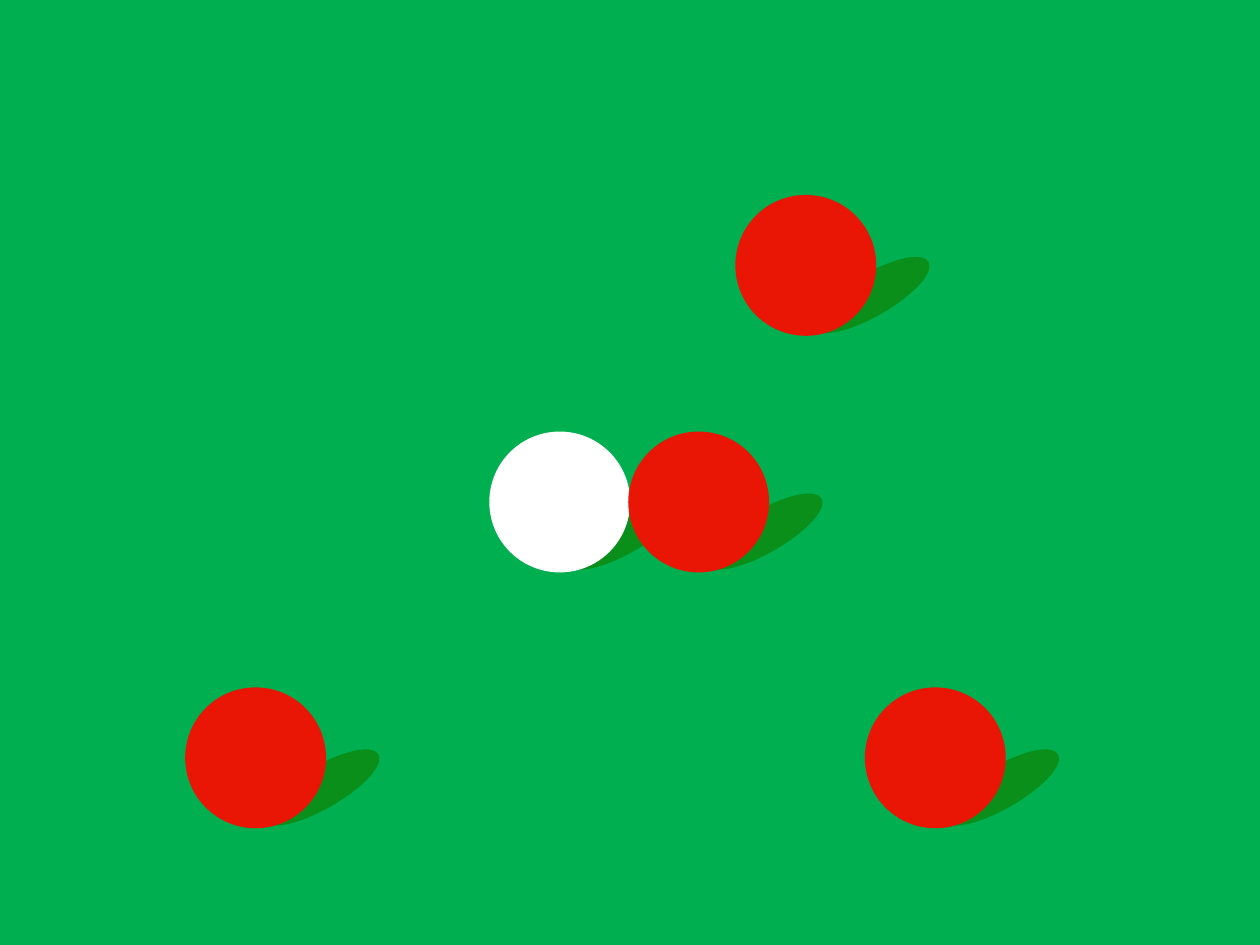
"""Build a slide of billiard balls with cast shadows on green cloth."""
from pptx import Presentation
from pptx.dml.color import RGBColor
from pptx.enum.shapes import MSO_SHAPE
from pptx.util import Pt

OVAL = MSO_SHAPE.OVAL
BLANK_LAYOUT = 6
COLORS = {"cloth": "00B050", "shade": "0A901A", "white": "FFFFFF", "red": "E91505"}
BALL_SIZE = 78.5
SHADE_OFFSET = (40, 45)
SHADE_SIZE = (73.4, 22.3)
SHADE_ANGLE = 330


class Table:
    """Hold the slide and the style of the balls on it."""

    outline = 2

    def __init__(self, slide):
        self.slide = slide

    def color(self, fill, name):
        fill.solid()
        fill.fore_color.rgb = RGBColor.from_string(COLORS[name])

    def cloth(self):
        self.color(self.slide.background.fill, "cloth")

    def oval(self, group, left, top, width, height, color, rotation=0):
        oval = group.shapes.add_shape(OVAL, Pt(left), Pt(top), Pt(width), Pt(height))
        for name, value in {"rotation": rotation}.items():
            setattr(oval, name, value)
        oval.shadow.inherit = False
        oval.line.width = Pt(self.outline)
        for fill, name in ((oval.fill, color), (oval.line.fill, color)):
            self.color(fill, name)

    def ball(self, left, top, color):
        group = self.slide.shapes.add_group_shape()
        dx, dy = SHADE_OFFSET
        self.oval(group, left + dx, top + dy, *SHADE_SIZE, "shade", SHADE_ANGLE)
        self.oval(group, left, top, BALL_SIZE, BALL_SIZE, color)


presentation = Presentation()
presentation.slide_width, presentation.slide_height = Pt(720), Pt(540)
blank = presentation.slide_layouts[BLANK_LAYOUT]
table = Table(presentation.slides.add_slide(blank))
table.cloth()

BALLS = [
    (280.6, 247.6, "white"),
    (360, 247.6, "red"),
    (421.2, 112.4, "red"),
    (106.8, 393.8, "red"),
    (495.2, 393.8, "red"),
]
for left, top, color in BALLS:
    table.ball(left, top, color)

presentation.save("out.pptx")
